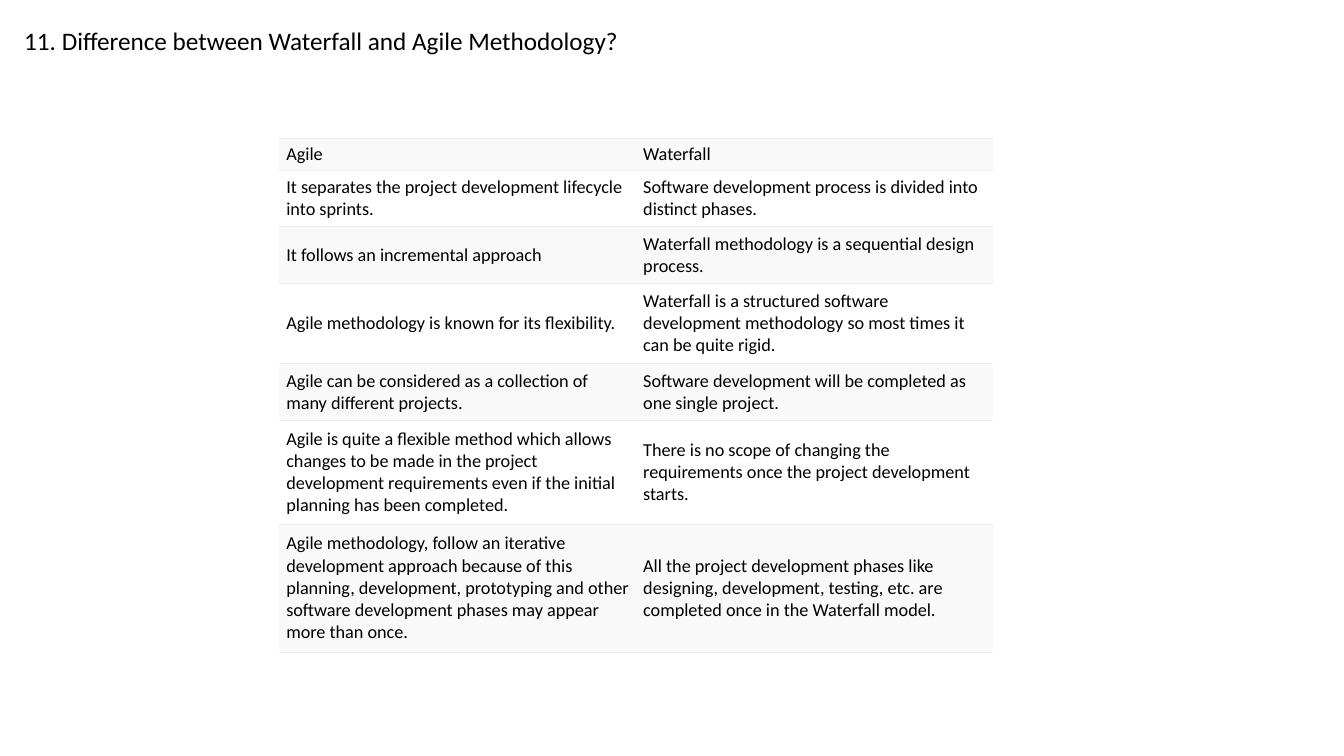
import lxml.etree
import pptx
import pptx.dml.color
import pptx.enum.text
import pptx.oxml.ns
import pptx.util

Inches = pptx.util.Inches
RGBColor = pptx.dml.color.RGBColor
ANCHOR = pptx.enum.text.MSO_ANCHOR

BLACK = RGBColor(0x00, 0x00, 0x00)
WHITE = RGBColor(0xFF, 0xFF, 0xFF)
BAND = RGBColor(0xF9, 0xF9, 0xF9)
RULE = RGBColor(0xEE, 0xEE, 0xEE)

ROW_HEIGHTS = [0.32, 0.56, 0.56, 0.8, 0.56, 1.03, 1.27]
COMPARISON = [
    ("Agile", "Waterfall"),
    ("It separates the project development lifecycle into sprints.",
     "Software development process is divided into distinct phases."),
    ("It follows an incremental approach",
     "Waterfall methodology is a sequential design process."),
    ("Agile methodology is known for its flexibility.",
     "Waterfall is a structured software development methodology so most "
     "times it can be quite rigid."),
    ("Agile can be considered as a collection of many different projects.",
     "Software development will be completed as one single project."),
    ("Agile is quite a flexible method which allows changes to be made in the "
     "project development requirements even if the initial planning has been "
     "completed.",
     "There is no scope of changing the requirements once the project "
     "development starts."),
    ("Agile methodology, follow an iterative development approach because of "
     "this planning, development, prototyping and other software development "
     "phases may appear more than once.",
     "All the project development phases like designing, development, testing, "
     "etc. are completed once in the Waterfall model."),
]


class SlideBuilder:
    """Holds the text style and the current slide."""

    def __init__(self, slide, font_name):
        self.slide = slide
        self.font_name = font_name

    def style(self, paragraph, size):
        paragraph.font.name = self.font_name
        paragraph.font.size = pptx.util.Pt(size)
        paragraph.font.color.rgb = BLACK
        paragraph.alignment = pptx.enum.text.PP_ALIGN.LEFT

    def title(self, text, left, top, width, height):
        shape = self.slide.shapes.title
        shape.left, shape.top = Inches(left), Inches(top)
        shape.width, shape.height = Inches(width), Inches(height)
        frame = shape.text_frame
        frame.text = text
        frame.word_wrap = False
        frame.auto_size = pptx.enum.text.MSO_AUTO_SIZE.NONE
        frame.vertical_anchor = ANCHOR.TOP
        self.style(frame.paragraphs[0], 18)

    def table(self, rows, left, top, column_width, row_heights):
        columns = len(rows[0])
        table = self.slide.shapes.add_table(
            len(rows), columns, Inches(left), Inches(top),
            Inches(column_width * columns), Inches(sum(row_heights))).table
        table.first_row = table.horz_banding = False
        for column in table.columns:
            column.width = Inches(column_width)
        for index, (texts, height) in enumerate(zip(rows, row_heights)):
            table.rows[index].height = Inches(height)
            fill = WHITE if index % 2 else BAND
            for cell, text in zip(table.rows[index].cells, texts):
                self.cell(cell, text, fill)

    def cell(self, cell, text, fill):
        cell.text = text
        cell.vertical_anchor = ANCHOR.MIDDLE
        cell.margin_left = cell.margin_right = Inches(0.07)
        cell.margin_top = cell.margin_bottom = Inches(0.04)
        self.style(cell.text_frame.paragraphs[0], 13)
        self.borders(cell)
        cell.fill.solid()
        cell.fill.fore_color.rgb = fill

    def borders(self, cell):
        """Thin rules above and below, none at the sides."""
        qn = pptx.oxml.ns.qn
        properties = cell._tc.get_or_add_tcPr()
        for side in ("L", "R", "T", "B"):
            line = lxml.etree.SubElement(properties, qn("a:ln" + side))
            if side in "LR":
                lxml.etree.SubElement(line, qn("a:noFill"))
            else:
                line.set("w", str(pptx.util.Pt(0.75)))
                solid = lxml.etree.SubElement(line, qn("a:solidFill"))
                lxml.etree.SubElement(solid, qn("a:srgbClr"), val=str(RULE))


# Presentation and slide
presentation = pptx.Presentation()
presentation.slide_width = Inches(13.33)
presentation.slide_height = Inches(7.5)
title_only = presentation.slide_layouts[5]
builder = SlideBuilder(presentation.slides.add_slide(title_only), "Calibri")

# Heading
builder.title("11. Difference between Waterfall and Agile Methodology?",
              0.14, 0.2, 6.17, 0.71)

# Comparison table
builder.table(COMPARISON, 2.77, 1.37, 3.54, ROW_HEIGHTS)

presentation.save("out.pptx")
